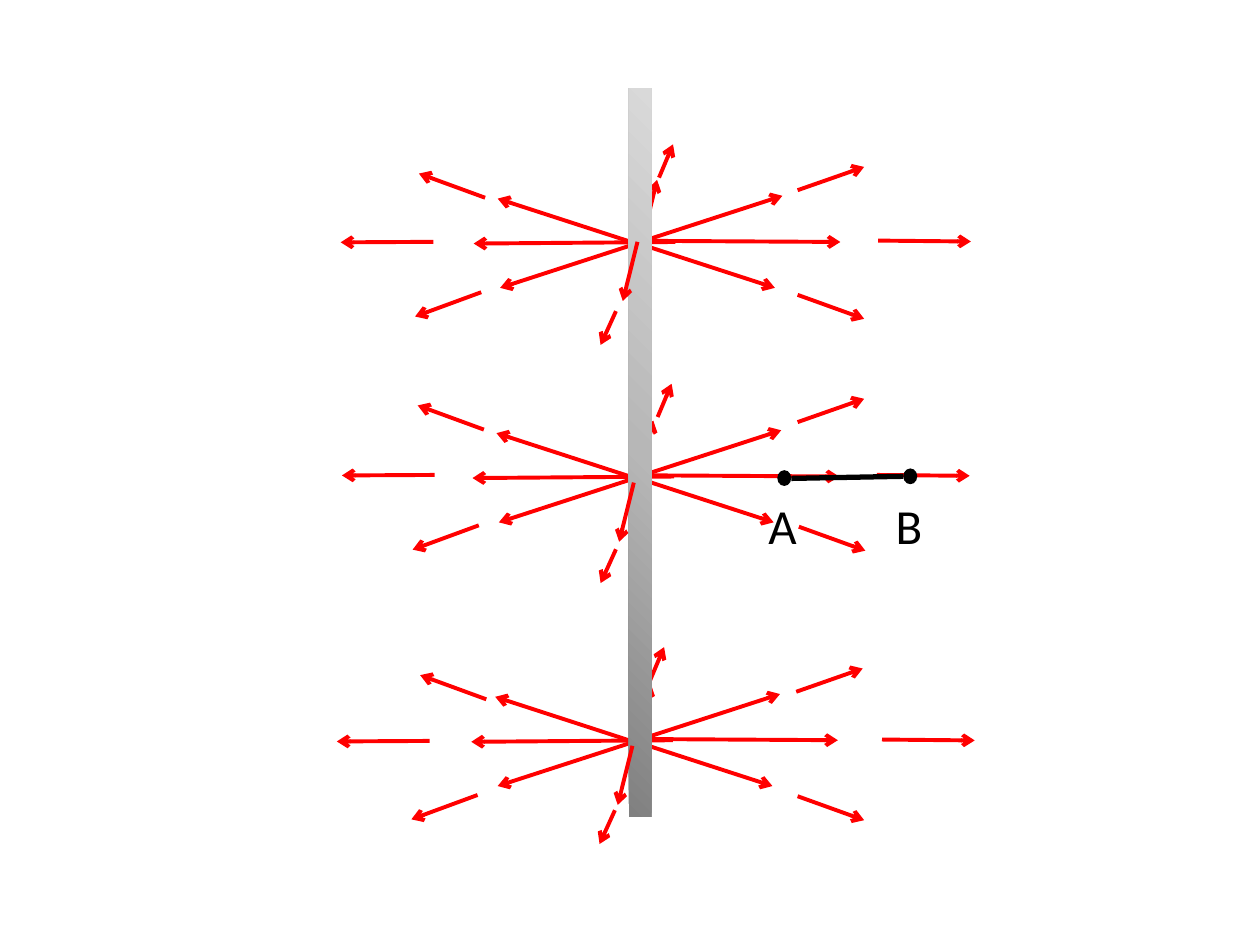
from copy import deepcopy
from pptx import Presentation
from pptx.dml.color import RGBColor
from pptx.enum.shapes import MSO_CONNECTOR as Link, MSO_SHAPE as Shape
from pptx.enum.text import MSO_AUTO_SIZE as Fit
from pptx.oxml.ns import qn
from pptx.util import Pt
from lxml.etree import SubElement as Sub

HUBS = [(364.3, 139), (363.6, 273), (362.9, 423.7)]

# Start offset from the hub, then reach
NEAR = [
    ((0, 0), (78.5, 25.5)),
    ((4.3, -1.6), (78.5, -25.5)),
    ((-1.4, 0), (-78.5, -25.5)),
    ((0, 0), (-78.5, 25.5)),
    ((0.7, -1.4), (115.2, 0.7)),
    ((21.6, -0.7), (-115.2, 0.9)),
]

# Reach, then one start per hub
FAR = [
    ((53, 0.5), [(501.8, 137.5), (501.1, 271.4), (504, 422.6)]),
    ((-53, 0.3), [(247.7, 138.2), (248.4, 271.4), (245.5, 423.4)]),
    ((38, -13.3), [(455.8, 108.7), (455.8, 241.2), (455, 395.3)]),
    ((-37.8, -13.8), [(277.2, 113), (276.5, 245.5), (277.9, 399.6)]),
    ((38, 13.7), [(455.8, 168.5), (456.5, 301), (455.8, 455)]),
    ((-37.8, 13.9), [(275, 167), (273.6, 300.2), (272.9, 454.3)]),
]
BACK = [
    ((8.3, -34), [(367.2, 136.8), (365, 274.3), (363.6, 424.8)]),
    ((8, -19), [(376.6, 101.5), (375.8, 238.3), (371.5, 388.8)]),
]
FRONT = [
    ((-8.4, 33.8), [(364.3, 138.2), (362.2, 275.8), (361.4, 426.2)]),
    ((-8.8, 19.3), [(352, 177.8), (352, 313.9), (351.4, 463)]),
]


def hue(code):
    return RGBColor.from_string(code)


class Board:
    font = "Calibri"
    size = 28
    ink = "000000"
    ray = "FF0000"

    def __init__(self, slide):
        self.slide = slide

    def line(self, start, end, color, width):
        ends = [Pt(v) for v in (*start, *end)]
        link = self.slide.shapes.add_connector(Link.STRAIGHT, *ends)
        link.line.color.rgb = hue(color)
        link.line.width = Pt(width)
        Sub(link._element.spPr, qn("a:effectLst"))
        return link

    def arrow(self, start, reach):
        end = start[0] + reach[0], start[1] + reach[1]
        link = self.line(start, end, self.ray, 2.25)
        Sub(link.line._get_or_add_ln(), qn("a:tailEnd"), type="arrow")

    def rays(self, rows):
        for reach, starts in rows:
            for start in starts:
                self.arrow(start, reach)

    def solid(self, kind, *box):
        shape = self.slide.shapes.add_shape(kind, *[Pt(v) for v in box])
        shape.shadow.inherit = False
        shape.line.fill.background()
        return shape

    def rod(self, *box):
        fill = self.solid(Shape.RECTANGLE, *box).fill
        fill.gradient()
        fill.gradient_angle = 45
        first = fill.gradient_stops[0]._gs
        first.addnext(deepcopy(first))
        shades = [(0, "808080"), (0.5, "B7B7B7"), (1, "D9D9D9")]
        for stop, (place, color) in zip(fill.gradient_stops, shades):
            stop.position = place
            stop.color.rgb = hue(color)

    def dot(self, *box):
        fill = self.solid(Shape.OVAL, *box).fill
        fill.solid()
        fill.fore_color.rgb = hue(self.ink)

    def label(self, text, *box):
        area = self.slide.shapes.add_textbox(*[Pt(v) for v in box])
        frame = area.text_frame
        frame.word_wrap = False
        frame.auto_size = Fit.SHAPE_TO_FIT_TEXT
        run = frame.paragraphs[0].add_run()
        run.text = text
        run.font.name = self.font
        run.font.size = Pt(self.size)
        run.font.color.rgb = hue(self.ink)


def main():
    deck = Presentation()
    deck.slide_width, deck.slide_height = Pt(720), Pt(540)
    board = Board(deck.slides.add_slide(deck.slide_layouts[6]))

    board.rays(BACK)
    for x, y in HUBS:
        for (dx, dy), reach in NEAR:
            board.arrow((x + dx, y + dy), reach)
    board.rays(FAR)
    board.rod(359.2, 50.4, 13.2, 416.4)
    board.rays(FRONT)

    for text, dot, top, left in [("A", 444.2, 268.7, 432),
                                 ("B", 516.2, 267.7, 504.7)]:
        board.dot(dot, top, 8, 9)
        board.label(text, left, 279.4, 31, 41)
    board.line((452.2, 273.4), (516.2, 272.2), board.ink, 3)

    deck.save("out.pptx")


if __name__ == "__main__":
    main()
